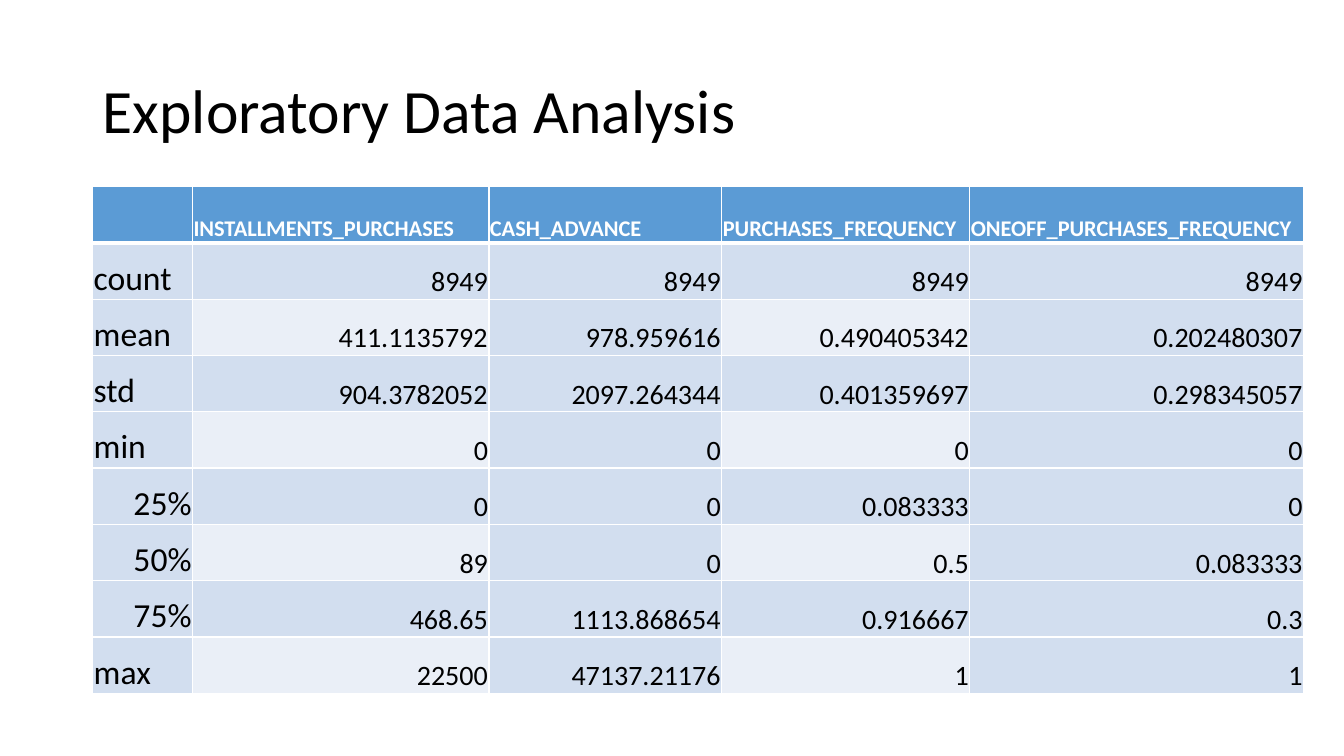
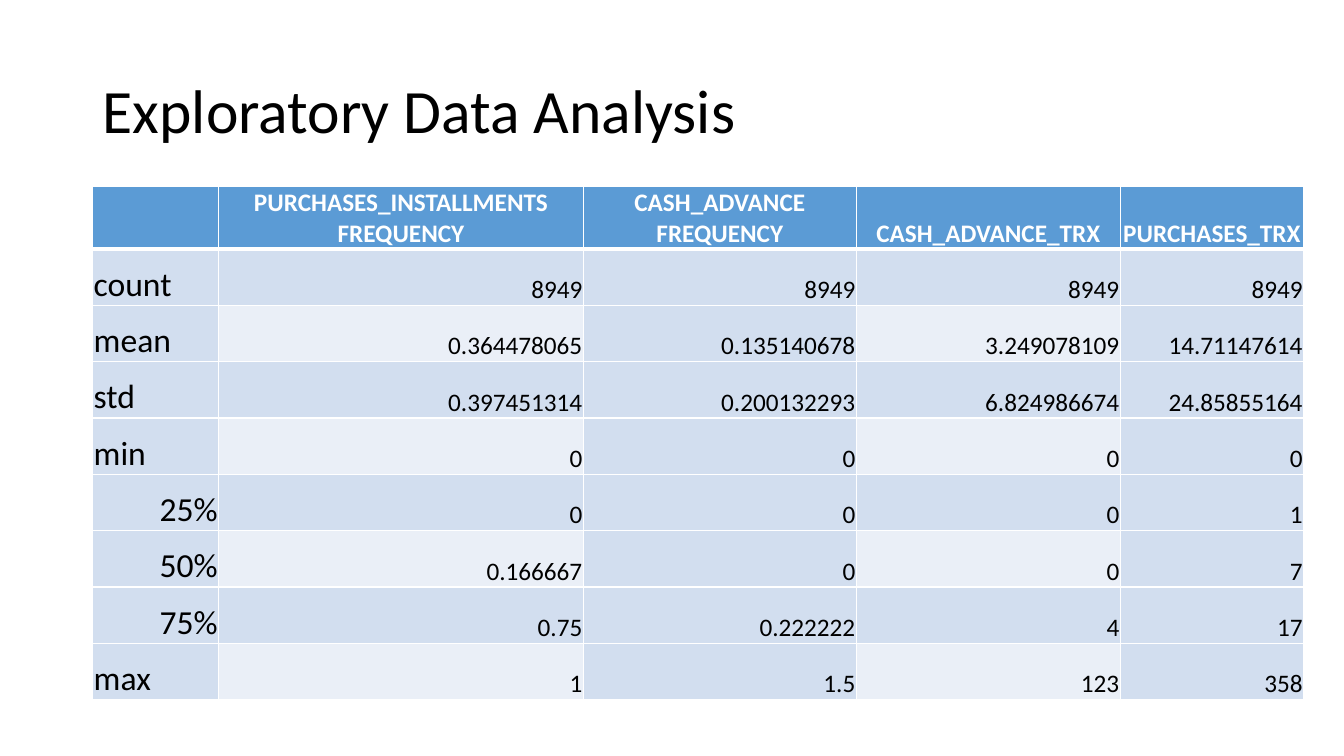
from lxml import etree
from pptx import Presentation
from pptx import util as u
from pptx.dml import color
from pptx.enum import text
from pptx.oxml import ns

BLUE, PALE, LIGHT = "5B9BD5", "D2DEEF", "EAEFF7"
WHITE, BLACK = "FFFFFF", "000000"
LEFT, MID, RIGHT = text.PP_ALIGN.LEFT, text.PP_ALIGN.CENTER, text.PP_ALIGN.RIGHT
ROW = 7.45  # row height, percent of the slide


def rgb(code):
    return color.RGBColor.from_string(code)


def write(frame, words, size, hue=BLACK, bold=False, align=LEFT, gap=None):
    para = frame.paragraphs[0]
    para.alignment = align
    para.line_spacing = gap
    run = para.add_run()
    run.text = words
    font = run.font
    font.name, font.size, font.bold = "Calibri", u.Pt(size), bold
    font.color.rgb = rgb(hue)


def border(cell, top, base):
    """Draw white cell borders; top and base are widths in points."""
    props = cell._tc.get_or_add_tcPr()
    for side, width in zip("LRTB", (1, 1, top, base)):
        line = etree.SubElement(props, ns.qn("a:ln" + side), w=str(u.Pt(width)))
        fill = etree.SubElement(line, ns.qn("a:solidFill"))
        etree.SubElement(fill, ns.qn("a:srgbClr"), val=WHITE)


class Deck:
    def __init__(self):
        self.prs = Presentation()
        self.prs.slide_width = u.Inches(13.33)
        self.prs.slide_height = u.Inches(7.5)
        self.slide = None

    def x(self, share):
        return u.Emu(round(self.prs.slide_width * share / 100))

    def y(self, share):
        return u.Emu(round(self.prs.slide_height * share / 100))

    def page(self, title):
        self.slide = self.prs.slides.add_slide(self.prs.slide_layouts[5])
        box = self.slide.shapes.title
        box.left, box.top = self.x(6.9), self.y(5.33)
        box.width, box.height = self.x(86.25), self.y(19.33)
        box.text_frame.vertical_anchor = text.MSO_ANCHOR.MIDDLE
        write(box.text_frame, title, 44, gap=0.9)

    def cell(self, cell, row, col, words, **style):
        cell.margin_left = cell.margin_right = cell.margin_top = u.Inches(0.01)
        cell.margin_bottom = 0
        cell.vertical_anchor = text.MSO_ANCHOR.BOTTOM
        border(cell, 3 if row == 1 else 1, 3 if row == 0 else 1)
        light = row % 2 == 0 and col % 2 == 1
        cell.fill.solid()
        cell.fill.fore_color.rgb = rgb(BLUE if row == 0 else LIGHT if light else PALE)
        if words:
            write(cell.text_frame, words, **style)

    def table(self, rows, parts, head, body):
        """Add a table; parts are relative column widths, head and body formats."""
        frame = self.slide.shapes.add_table(
            len(rows), len(parts), self.x(6.9), self.y(24.67),
            self.x(90.1), self.y(ROW * len(rows)))
        grid = frame.table
        for col, part in zip(grid.columns, parts):
            col.width = self.x(90.1 * part / sum(parts))
        for r, row in enumerate(rows):
            grid.rows[r].height = self.y(ROW)
            for c, words in enumerate(row):
                if r == 0:
                    style = dict(head, hue=WHITE, bold=True)
                elif c == 0:
                    style = dict(size=24, align=RIGHT if "%" in words else LEFT)
                else:
                    style = dict(body, align=RIGHT)
                self.cell(grid.cell(r, c), r, c, words, **style)


STATS = ["", "count", "mean", "std", "min", "25%", "50%", "75%", "max"]

SPEND = [
    ["INSTALLMENTS_PURCHASES", "8949", "411.1135792", "904.3782052",
     "0", "0", "89", "468.65", "22500"],
    ["CASH_ADVANCE", "8949", "978.959616", "2097.264344",
     "0", "0", "0", "1113.868654", "47137.21176"],
    ["PURCHASES_FREQUENCY", "8949", "0.490405342", "0.401359697",
     "0", "0.083333", "0.5", "0.916667", "1"],
    ["ONEOFF_PURCHASES_FREQUENCY", "8949", "0.202480307", "0.298345057",
     "0", "0", "0.083333", "0.3", "1"],
]

USAGE = [
    ["PURCHASES_INSTALLMENTS FREQUENCY", "8949", "0.364478065", "0.397451314",
     "0", "0", "0.166667", "0.75", "1"],
    ["CASH_ADVANCE FREQUENCY", "8949", "0.135140678", "0.200132293",
     "0", "0", "0", "0.222222", "1.5"],
    ["CASH_ADVANCE_TRX", "8949", "3.249078109", "6.824986674",
     "0", "0", "0", "4", "123"],
    ["PURCHASES_TRX", "8949", "14.71147614", "24.85855164",
     "0", "1", "7", "17", "358"],
]

PAGES = [
    (SPEND, (0.99, 2.94, 2.31, 2.46, 3.31), dict(size=16), dict(size=20)),
    (USAGE, (1.25, 3.62, 2.71, 2.62, 1.82), dict(size=18, align=MID), dict(size=18)),
]


def main():
    deck = Deck()
    for data, parts, head, body in PAGES:
        deck.page("Exploratory Data Analysis")
        deck.table(list(zip(STATS, *data)), parts, head, body)
    deck.prs.save("out.pptx")


if __name__ == "__main__":
    main()
